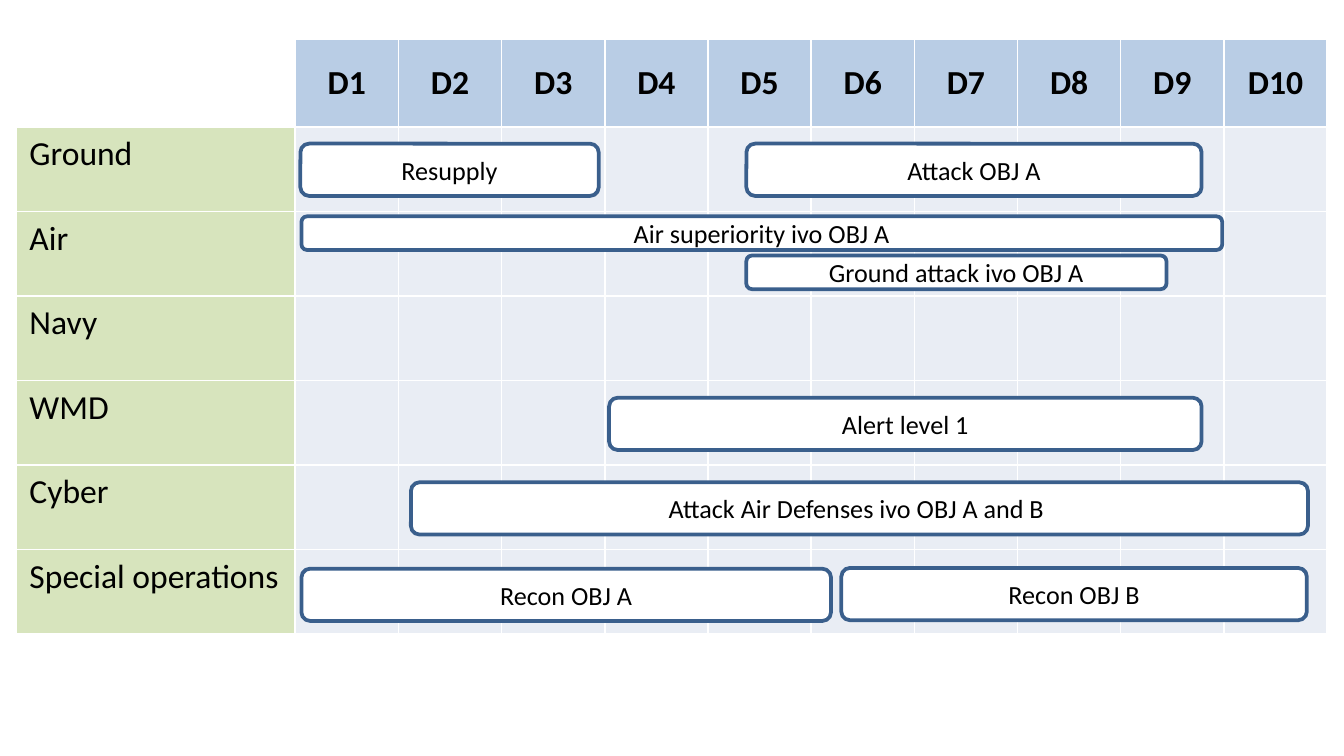
import pptx
import pptx.dml.color
import pptx.enum.shapes
import pptx.enum.text
import pptx.oxml
import pptx.oxml.ns
import pptx.util

Pt = pptx.util.Pt
RGBColor = pptx.dml.color.RGBColor
CENTER = pptx.enum.text.PP_ALIGN.CENTER
LEFT = pptx.enum.text.PP_ALIGN.LEFT
MIDDLE = pptx.enum.text.MSO_ANCHOR.MIDDLE
TOP = pptx.enum.text.MSO_ANCHOR.TOP

BLACK = RGBColor(0x00, 0x00, 0x00)
WHITE = RGBColor(0xFF, 0xFF, 0xFF)
DAY_BLUE = RGBColor(0xB9, 0xCD, 0xE5)
DOMAIN_GREEN = RGBColor(0xD7, 0xE4, 0xBD)
GRID_GRAY = RGBColor(0xE9, 0xED, 0xF4)
BAR_OUTLINE = RGBColor(0x3A, 0x5F, 0x8C)

FONT = "Calibri"

# Schedule grid, in points
GRID_LEFT, GRID_TOP = 8.6, 21.2
DOMAIN_WIDTH, DAY_WIDTH = 149.6, 55.3
HEADER_HEIGHT, ROW_HEIGHT = 46.8, 45.3

DAYS = [f"D{day}" for day in range(1, 11)]
DOMAINS = ["Ground", "Air", "Navy", "WMD", "Cyber", "Special operations"]

# Label, domain, start and end in days, offset below the row top, height
ACTIVITIES = [
    ("Attack OBJ A", "Ground", 4.37, 8.78, 9, 28),
    ("Attack Air Defenses ivo OBJ A and B ", "Cyber", 1.12, 9.81, 9.2, 28),
    ("Recon OBJ A", "Special operations", 0.06, 5.19, 10.2, 28),
    ("Alert level 1", "WMD", 3.04, 8.78, 9.2, 28),
    ("Air superiority ivo OBJ A", "Air", 0.06, 8.98, 2.6, 18),
    ("Ground attack ivo OBJ A", "Air", 4.37, 8.44, 23.6, 18),
    ("Recon OBJ B", "Special operations", 5.29, 9.8, 9.8, 28),
    ("Resupply", "Ground", 0.05, 2.94, 9, 28),
]


def write_text(frame, text, size, align, bold=False):
    paragraph = frame.paragraphs[0]
    paragraph.alignment = align
    run = paragraph.add_run()
    run.text = text
    run.font.name = FONT
    run.font.size = Pt(size)
    run.font.bold = bold
    run.font.color.rgb = BLACK


def set_borders(cell):
    properties = cell._tc.get_or_add_tcPr()
    for side in ("lnL", "lnR", "lnT", "lnB"):
        properties.append(pptx.oxml.parse_xml(
            f'<a:{side} {pptx.oxml.ns.nsdecls("a")} w="{Pt(1)}"><a:solidFill>'
            f'<a:srgbClr val="{WHITE}"/></a:solidFill></a:{side}>'))


def fill_cell(cell, color, text="", align=LEFT, anchor=TOP, bold=False):
    set_borders(cell)
    cell.fill.solid()
    cell.fill.fore_color.rgb = color
    cell.vertical_anchor = anchor
    if text:
        write_text(cell.text_frame, text, 18, align, bold)


def add_schedule(slide):
    width = DOMAIN_WIDTH + DAY_WIDTH * len(DAYS)
    height = HEADER_HEIGHT + ROW_HEIGHT * len(DOMAINS)
    schedule = slide.shapes.add_table(
        len(DOMAINS) + 1, len(DAYS) + 1,
        Pt(GRID_LEFT), Pt(GRID_TOP), Pt(width), Pt(height)).table
    schedule.first_row = False
    schedule.horz_banding = False
    for index, column in enumerate(schedule.columns):
        column.width = Pt(DAY_WIDTH if index else DOMAIN_WIDTH)
    for index, row in enumerate(schedule.rows):
        row.height = Pt(ROW_HEIGHT if index else HEADER_HEIGHT)

    # Empty corner and day headers
    corner = schedule.cell(0, 0)
    set_borders(corner)
    corner.fill.background()
    for column, day in enumerate(DAYS, 1):
        fill_cell(schedule.cell(0, column), DAY_BLUE, day, CENTER, MIDDLE, True)

    # Domain labels and open day cells
    for row, domain in enumerate(DOMAINS, 1):
        fill_cell(schedule.cell(row, 0), DOMAIN_GREEN, domain)
        for column in range(1, len(DAYS) + 1):
            fill_cell(schedule.cell(row, column), GRID_GRAY)


def add_activity(slide, label, domain, start, end, offset, height):
    left = GRID_LEFT + DOMAIN_WIDTH + DAY_WIDTH * start
    row_top = GRID_TOP + HEADER_HEIGHT + ROW_HEIGHT * DOMAINS.index(domain)
    bar = slide.shapes.add_shape(
        pptx.enum.shapes.MSO_SHAPE.ROUNDED_RECTANGLE,
        Pt(left), Pt(row_top + offset), Pt(DAY_WIDTH * (end - start)), Pt(height))
    bar.shadow.inherit = False
    bar.fill.solid()
    bar.fill.fore_color.rgb = WHITE
    bar.line.color.rgb = BAR_OUTLINE
    bar.line.width = Pt(2)
    bar.text_frame.word_wrap = True
    bar.text_frame.vertical_anchor = MIDDLE
    write_text(bar.text_frame, label, 14, CENTER)


def main():
    presentation = pptx.Presentation()
    presentation.slide_width = Pt(720)
    presentation.slide_height = Pt(405)
    slide = presentation.slides.add_slide(presentation.slide_layouts[6])

    add_schedule(slide)
    for activity in ACTIVITIES:
        add_activity(slide, *activity)

    presentation.save("out.pptx")


if __name__ == "__main__":
    main()
